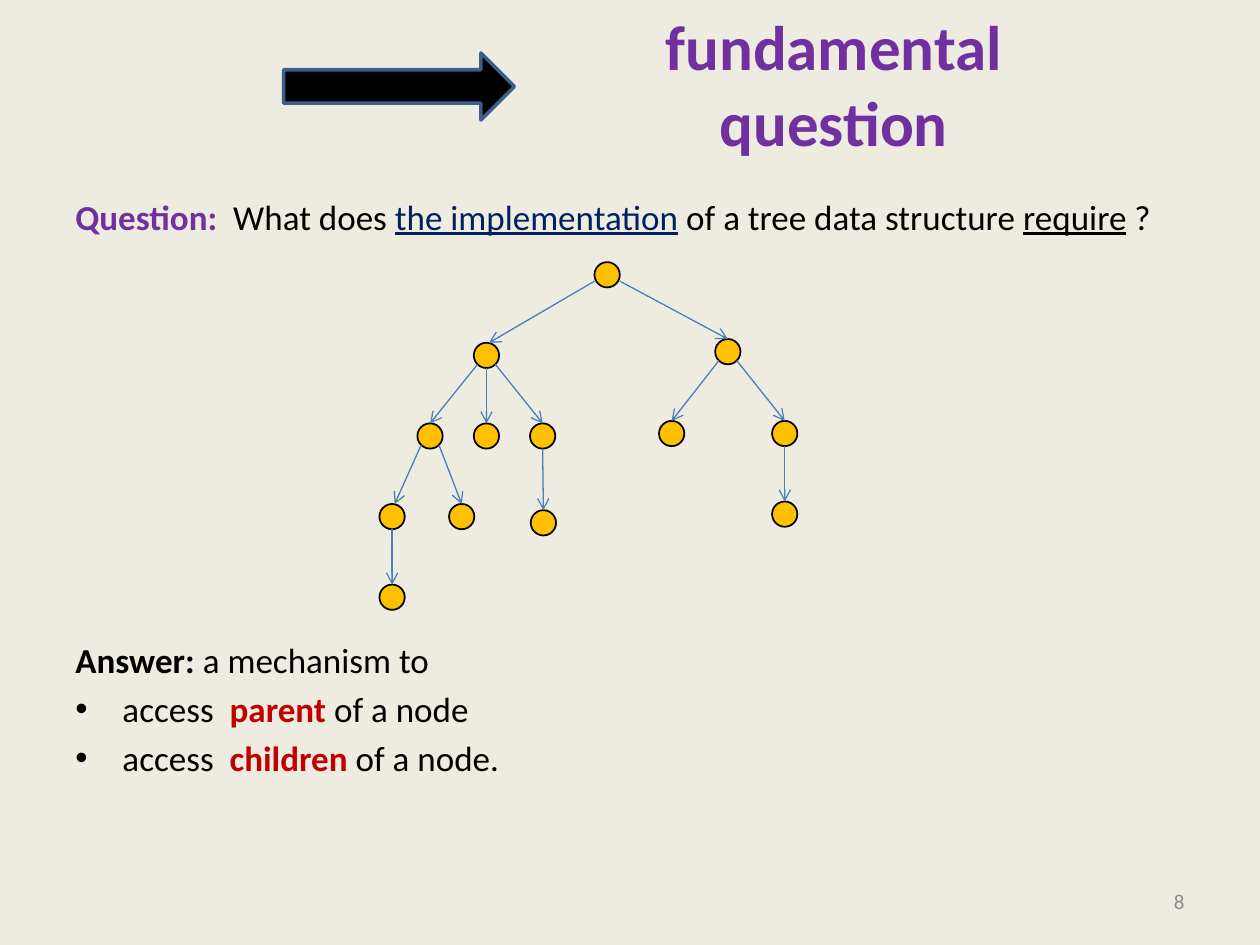
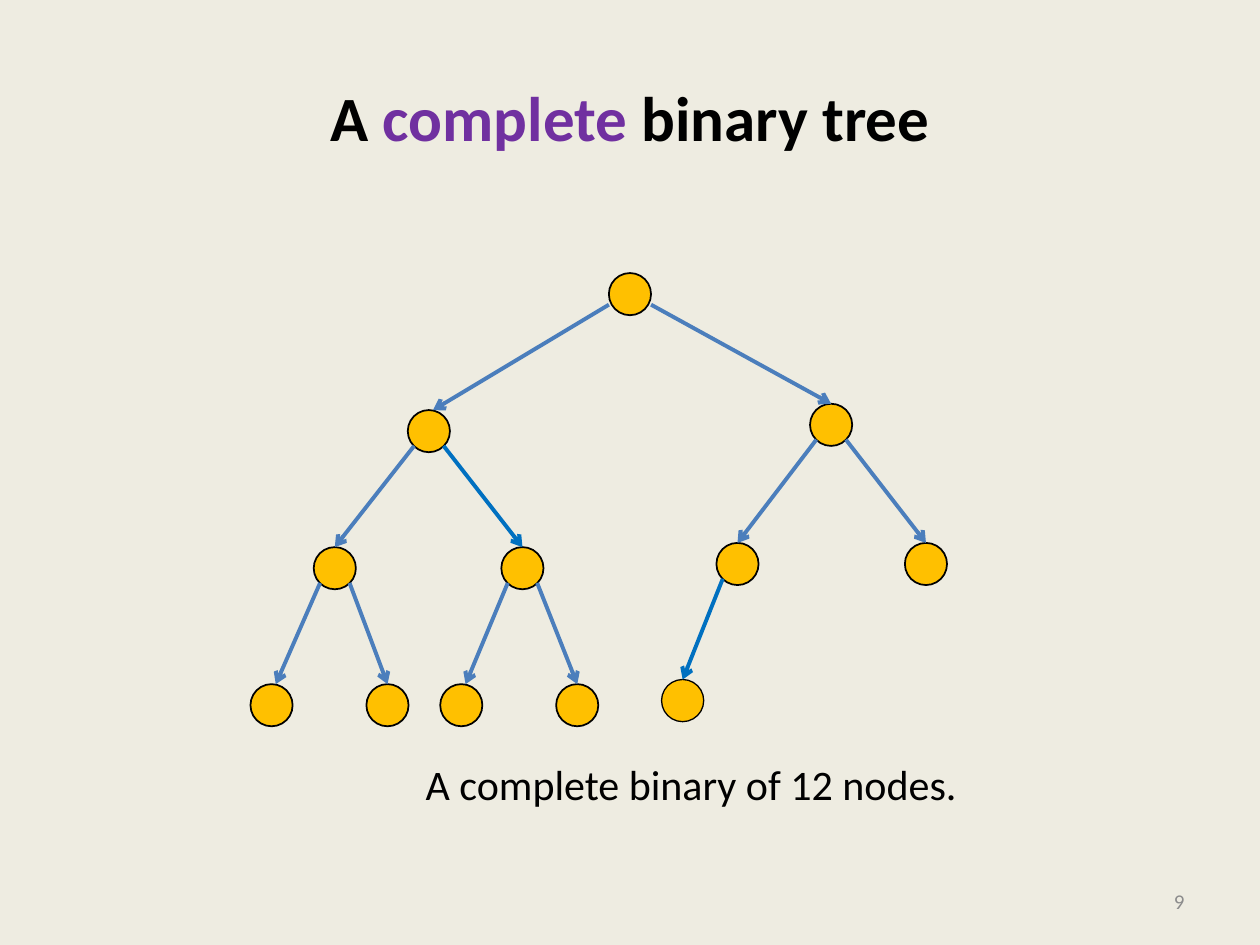
from lxml.etree import SubElement
from pptx import Presentation
from pptx.dml.color import RGBColor
from pptx.enum.shapes import MSO_CONNECTOR, MSO_SHAPE
from pptx.enum.text import MSO_ANCHOR, PP_ALIGN
from pptx.oxml.ns import qn
from pptx.util import Cm, Pt

PAPER, INK, GREY = "EEECE1", "000000", "8C8C8C"
PURPLE, NAVY, RED = "7030A0", "002060", "C00000"
GOLD, EDGE, BLUE, STEEL = "FFC000", "4B7EBC", "0070C0", "3A5F8C"

CORE = {
    "T": (0, 0),
    "TL": (-4.77, 3.25), "TR": (4.77, 3.1),
    "TLL": (-7, 6.5), "TLR": (-2.55, 6.5),
    "TRL": (2.55, 6.4), "TRR": (7.02, 6.4),
    "TLLL": (-8.5, 9.75), "TLLR": (-5.75, 9.75),
}
PLAIN = CORE | {"TLM": (-4.77, 6.5), "TLRR": (-2.52, 10),
                "TRRR": (7.02, 9.65), "TLLLL": (-8.5, 13)}
FULL = CORE | {"TLRL": (-4, 9.75), "TLRR": (-1.25, 9.75),
               "TRLL": (1.25, 9.64)}
LEAN = {"TL", "TLLL", "TLRL"}


def hue(code):
    return RGBColor.from_string(code)


def paint(shape, fill, line, width):
    shape.shadow.inherit = False
    shape.fill.solid()
    shape.fill.fore_color.rgb = hue(fill)
    shape.line.color.rgb = hue(line)
    shape.line.width = Pt(width)


def bullet(para):
    props = para._p.get_or_add_pPr()
    props.set("marL", str(Cm(0.95)))
    props.set("indent", str(-Cm(0.95)))
    SubElement(props, qn("a:buFont"), typeface="Arial")
    SubElement(props, qn("a:buChar"), char="•")


def write(slide, box, lines, size, color=INK, bold=None,
          align=PP_ALIGN.LEFT, anchor=MSO_ANCHOR.TOP):
    frame = slide.shapes.add_textbox(*map(Cm, box)).text_frame
    frame.word_wrap = True
    frame.vertical_anchor = anchor
    for i, (mark, runs) in enumerate(lines):
        para = frame.add_paragraph() if i else frame.paragraphs[0]
        para.alignment = align
        if i:
            para.space_before = Pt(size * 0.2)
        if mark:
            bullet(para)
        font = para.font
        font.name, font.size, font.bold = "Calibri", Pt(size), bold
        font.color.rgb = hue(color)
        for text, tint, style in runs:
            run = para.add_run()
            run.text = text
            if tint:
                run.font.color.rgb = hue(tint)
            if "b" in style:
                run.font.bold = True
            if "u" in style:
                run.font.underline = True


def title(slide, box, runs):
    write(slide, box, [(False, runs)], 36, bold=True,
          align=PP_ALIGN.CENTER, anchor=MSO_ANCHOR.MIDDLE)


def page(deck, number):
    slide = deck.slides.add_slide(deck.slide_layouts[6])
    slide.background.fill.solid()
    slide.background.fill.fore_color.rgb = hue(PAPER)
    write(slide, (18.2, 17.65, 5.93, 1.02), [(False, [(number, None, "")])],
          12, GREY, align=PP_ALIGN.RIGHT, anchor=MSO_ANCHOR.MIDDLE)
    return slide


def arrow(group, start, end, color, width):
    link = group.shapes.add_connector(
        MSO_CONNECTOR.STRAIGHT, *map(Cm, start + end))
    link.line.color.rgb = hue(color)
    link.line.width = Pt(width)
    SubElement(link.line._get_or_add_ln(), qn("a:tailEnd"), type="arrow")
    SubElement(link._element.spPr, qn("a:effectLst"))


def leave(parent, shift):
    if abs(shift) < 0.1:
        return 0, 0.5
    out, down = (0.5, 0.25) if parent == "T" else (0.35, 0.35)
    return (out if shift > 0 else -out), down


def tree(slide, root, step, nodes, width, bright=(), thin=()):
    left, top = root
    wide, high = step
    group = slide.shapes.add_group_shape()
    spots = {name: (left + x * wide, top + y * high)
             for name, (x, y) in nodes.items()}
    for name, (x, y) in spots.items():
        disc = group.shapes.add_shape(
            MSO_SHAPE.OVAL, Cm(x - wide / 2), Cm(y - wide / 2),
            Cm(wide), Cm(wide))
        paint(disc, GOLD, INK, 0.75 if name in thin else 1)
        parent = name[:-1]
        if parent:
            far, low = spots[parent]
            out, down = leave(parent, x - far)
            tip = x + (0.1 * wide if name in LEAN else 0)
            arrow(group, (far + out * wide, low + down * wide),
                  (tip, y - wide / 2),
                  BLUE if name in bright else EDGE, width)


def question(deck):
    slide = page(deck, "8")
    title(slide, (10.76, 0.76, 12.1, 1.83),
          [("fundamental question", PURPLE, "")])
    block = slide.shapes.add_shape(
        MSO_SHAPE.RIGHT_ARROW, Cm(5.72), Cm(1.07), Cm(4.65), Cm(1.35))
    paint(block, INK, STEEL, 2)
    write(slide, (1.27, 3.81, 22.86, 1.2), [(False, [
        ("Question:  ", PURPLE, "b"), ("What does ", None, ""),
        ("the implementation", NAVY, "u"),
        (" of a tree data structure ", None, ""),
        ("require", None, "u"), (" ?", None, "")])], 20)
    tree(slide, (12.24, 5.54), (0.51, 0.5), PLAIN, 0.75)
    write(slide, (1.27, 12.75, 22.86, 3.2), [
        (False, [("Answer: ", None, "b"), ("a mechanism to", None, "")]),
        (True, [("access  ", None, ""), ("parent ", RED, "b"),
                ("of a node", None, "")]),
        (True, [("access  ", None, ""), ("children ", RED, "b"),
                ("of a node.", None, "")])], 20)


def binary(deck):
    slide = page(deck, "9")
    title(slide, (1.27, 0.76, 22.86, 3.18),
          [("A ", None, ""), ("complete ", PURPLE, ""),
           ("binary tree", None, "")])
    tree(slide, (12.7, 5.93), (0.85, 0.85), FULL, 2.25,
         bright={"TLR", "TRLL"}, thin={"TRLL"})
    write(slide, (8.33, 15.16, 15.8, 1.3),
          [(False, [("A complete binary of 12 nodes.", None, "")])], 24)


def main():
    deck = Presentation()
    deck.slide_width, deck.slide_height = Cm(25.4), Cm(19.05)
    question(deck)
    binary(deck)
    deck.save("out.pptx")


if __name__ == "__main__":
    main()
